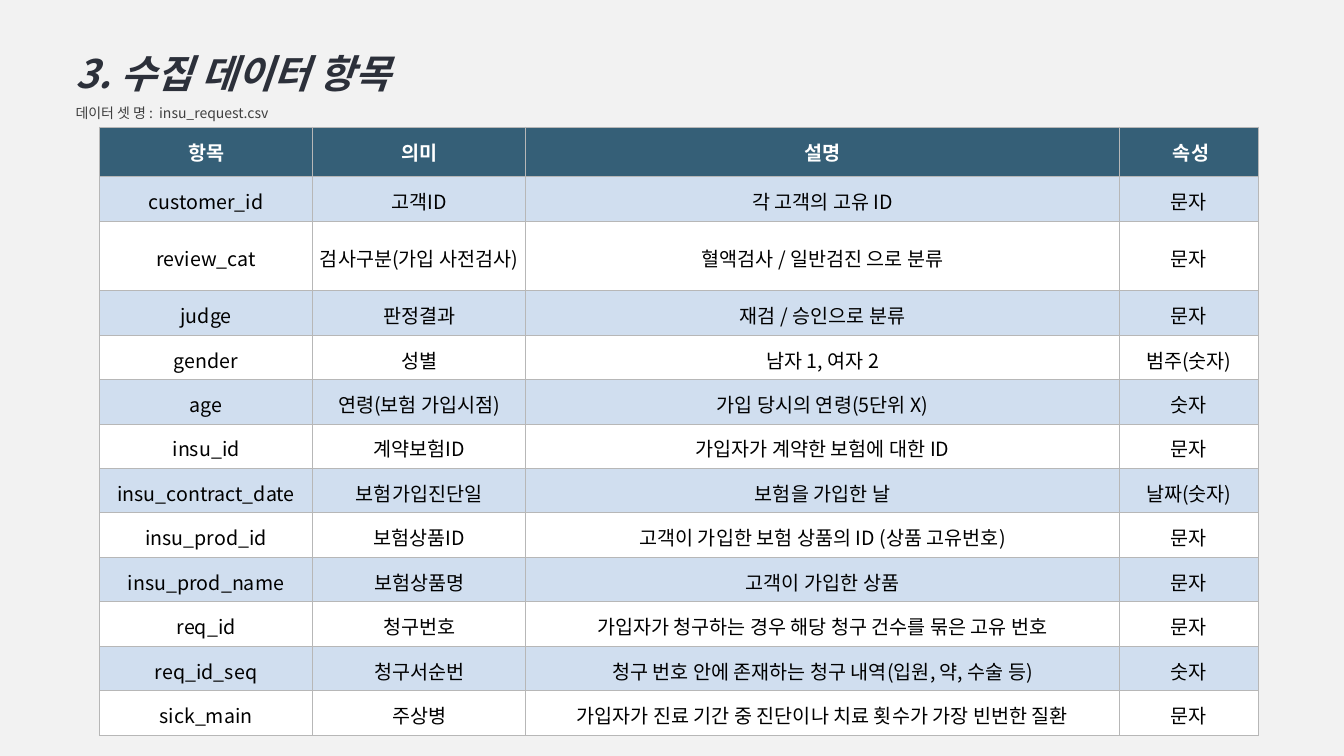
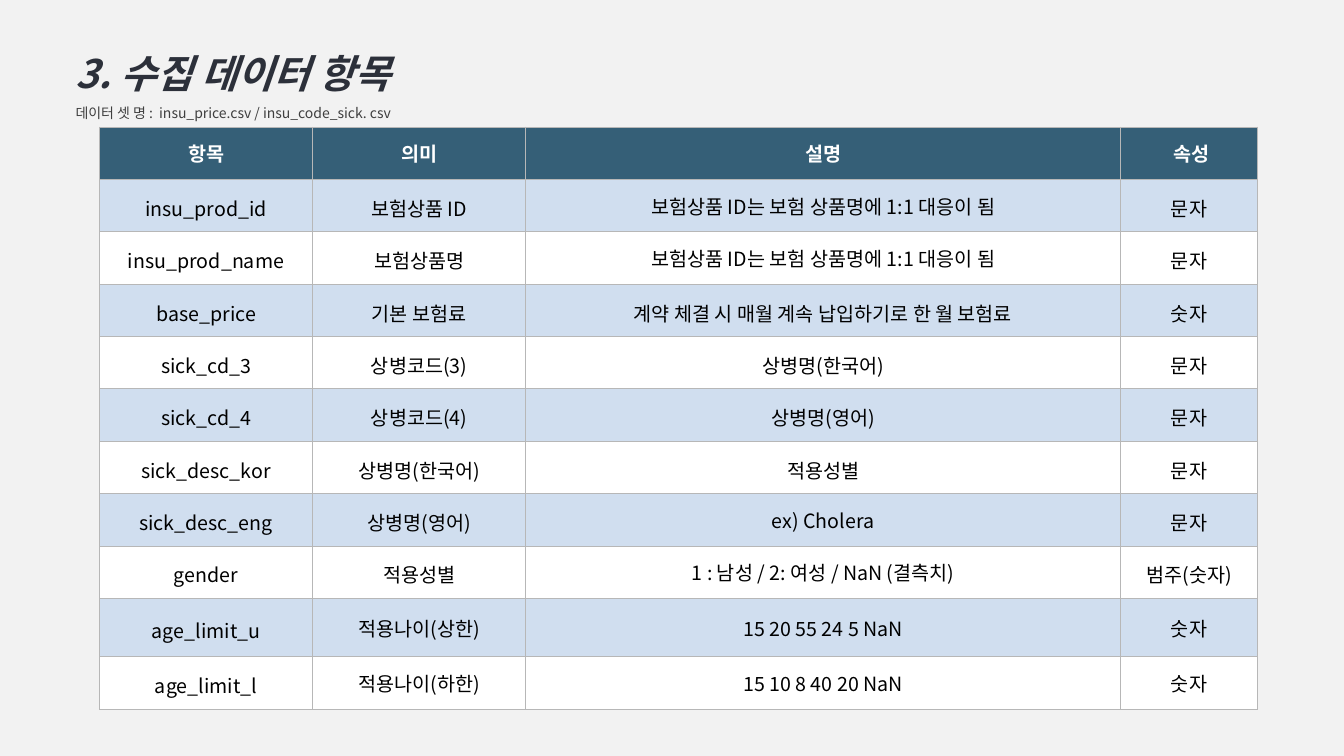
import pptx
import pptx.dml.color
import pptx.enum.text
import pptx.oxml
import pptx.oxml.ns
import pptx.util
import lxml.etree

Cm = pptx.util.Cm
Pt = pptx.util.Pt
RGBColor = pptx.dml.color.RGBColor
ALIGN = pptx.enum.text.PP_ALIGN
ANCHOR = pptx.enum.text.MSO_ANCHOR

PAPER = RGBColor(0xF2, 0xF2, 0xF2)
INK = RGBColor(0x2C, 0x30, 0x3A)
GREY = RGBColor(0x3F, 0x3F, 0x3F)
TEAL = RGBColor(0x35, 0x5F, 0x77)
BLUE = RGBColor(0xD0, 0xDE, 0xEF)
WHITE = RGBColor(0xFF, 0xFF, 0xFF)
BLACK = RGBColor(0x00, 0x00, 0x00)
RULE = RGBColor(0xB7, 0xB7, 0xB7)

HEADING = "3. 수집 데이터 항목"
HEADER = ("항목", "의미", "설명", " 속성")

REQUEST = [
    ("customer_id", "고객ID", "각 고객의 고유 ID", "문자"),
    ("review_cat", "검사구분(가입 사전검사)", "혈액검사 / 일반검진 으로 분류", "문자"),
    ("judge", "판정결과", "재검 / 승인으로 분류", "문자"),
    ("gender", "성별", "남자 1, 여자 2", "범주(숫자)"),
    ("age", "연령(보험 가입시점)", "가입 당시의 연령(5단위 X)", "숫자"),
    ("insu_id", "계약보험ID", "가입자가 계약한 보험에 대한 ID", "문자"),
    ("insu_contract_date", "보험가입진단일", "보험을 가입한 날", "날짜(숫자)"),
    ("insu_prod_id", "보험상품ID", "고객이 가입한 보험 상품의 ID (상품 고유번호)", "문자"),
    ("insu_prod_name", "보험상품명", "고객이 가입한 상품", "문자"),
    ("req_id", "청구번호", "가입자가 청구하는 경우 해당 청구 건수를 묶은 고유 번호", "문자"),
    ("req_id_seq", "청구서순번", "청구 번호 안에 존재하는 청구 내역(입원, 약, 수술 등)", "숫자"),
    ("sick_main", "주상병", "가입자가 진료 기간 중 진단이나 치료 횟수가 가장 빈번한 질환", "문자"),
]

PRICE = [
    ("insu_prod_id", "보험상품 ID", "보험상품 ID는 보험 상품명에 1:1 대응이 됨", "문자"),
    ("insu_prod_name", "보험상품명", "보험상품 ID는 보험 상품명에 1:1 대응이 됨", "문자"),
    ("base_price", "기본 보험료", "계약 체결 시 매월 계속 납입하기로 한 월 보험료", "숫자"),
    ("sick_cd_3", "상병코드(3)", "상병명(한국어)", "문자"),
    ("sick_cd_4", "상병코드(4)", "상병명(영어)", "문자"),
    ("sick_desc_kor", "상병명(한국어)", "적용성별", "문자"),
    ("sick_desc_eng", "상병명(영어)", "ex) Cholera", "문자"),
    ("gender", "적용성별", "1 : 남성 / 2: 여성 / NaN (결측치)", "범주(숫자)"),
    ("age_limit_u", "적용나이(상한)", "15 20 55 24 5 NaN", "숫자"),
    ("age_limit_l", "적용나이(하한)", "15 10 8 40 20 NaN", "숫자"),
]
# Cells (row, column) of the price table set with single line spacing
PRICE_TIGHT = {(1, 2), (2, 2), (7, 2), (8, 2)} | {
    (row, col) for row in (9, 10) for col in (1, 2, 3)}


class Deck:
    """Holds the shared style and the current slide."""

    FONT = "Noto Sans CJK KR"

    def __init__(self):
        self.show = pptx.Presentation()
        self.show.slide_width, self.show.slide_height = Cm(33.87), Cm(19.05)
        fill = self.show.slide_master.background.fill
        fill.solid()
        fill.fore_color.rgb = PAPER
        self.slide = None

    def start(self):
        self.slide = self.show.slides.add_slide(self.show.slide_layouts[5])

    def style(self, para, size, color, bold=False, slant=False):
        for run in para.runs:
            font = run.font
            font.size, font.bold, font.italic = Pt(size), bold, slant
            font.color.rgb = color
            font.name = self.FONT
            east = lxml.etree.SubElement(font._element, pptx.oxml.ns.qn("a:ea"))
            east.set("typeface", self.FONT)

    def title(self, head, note):
        box = self.slide.shapes.title
        box.left, box.top, box.width, box.height = Cm(1.65), Cm(0.51), Cm(16.94), Cm(2.69)
        frame = box.text_frame
        frame.text = head
        frame.add_paragraph().text = note
        frame.auto_size = pptx.enum.text.MSO_AUTO_SIZE.NONE
        frame.vertical_anchor = ANCHOR.TOP
        for para in frame.paragraphs:
            para.alignment, para.line_spacing = ALIGN.LEFT, 1.5
        self.style(frame.paragraphs[0], 28, INK, True, True)
        self.style(frame.paragraphs[1], 10, GREY)

    def border(self, cell):
        props = cell._tc.get_or_add_tcPr()
        for side in "LRTB":
            props.append(pptx.oxml.parse_xml(
                f'<a:ln{side} {pptx.oxml.ns.nsdecls("a")} w="{Pt(0.75)}">'
                f'<a:solidFill><a:srgbClr val="{RULE}"/></a:solidFill></a:ln{side}>'))

    def cell(self, cell, text, fill, head, tight):
        self.border(cell)
        cell.fill.solid()
        cell.fill.fore_color.rgb = fill
        cell.vertical_anchor = ANCHOR.MIDDLE
        cell.margin_left = cell.margin_right = Cm(0.03 if tight else 0.08)
        cell.margin_top = cell.margin_bottom = Cm(0.03 if tight else 0.05)
        para = cell.text_frame.paragraphs[0]
        para.text = text
        para.alignment = ALIGN.CENTER
        if not tight:
            para.line_spacing = 1.15
        self.style(para, 14, WHITE if head else BLACK, head)

    def table(self, body, widths, heights, tight=()):
        rows = [HEADER] + body
        frame = self.slide.shapes.add_table(
            len(rows), len(widths), Cm(2.51), Cm(3.2), Cm(sum(widths)), Cm(sum(heights)))
        grid = frame.table
        grid.horz_banding = False
        for col, width in zip(grid.columns, widths):
            col.width = Cm(width)
        for r, (row, height) in enumerate(zip(rows, heights)):
            grid.rows[r].height = Cm(height)
            head = r == 0
            fill = TEAL if head else BLUE if r % 2 else WHITE
            for c, text in enumerate(row):
                self.cell(grid.cell(r, c), text, fill, head, head or (r, c) in tight)


def main():
    deck = Deck()

    # Request data
    deck.start()
    deck.table(REQUEST, (5.37, 5.37, 14.96, 3.5), [1.25] + [1.12] * 12)
    deck.title(HEADING, "데이터 셋 명 :  insu_request.csv")

    # Price and sickness code data
    deck.start()
    deck.table(PRICE, (5.37, 5.37, 14.99, 3.45), [1.32] * 9 + [1.47, 1.32], PRICE_TIGHT)
    deck.title(HEADING, "데이터 셋 명 :  insu_price.csv / insu_code_sick. csv")

    deck.show.save("out.pptx")


if __name__ == "__main__":
    main()
